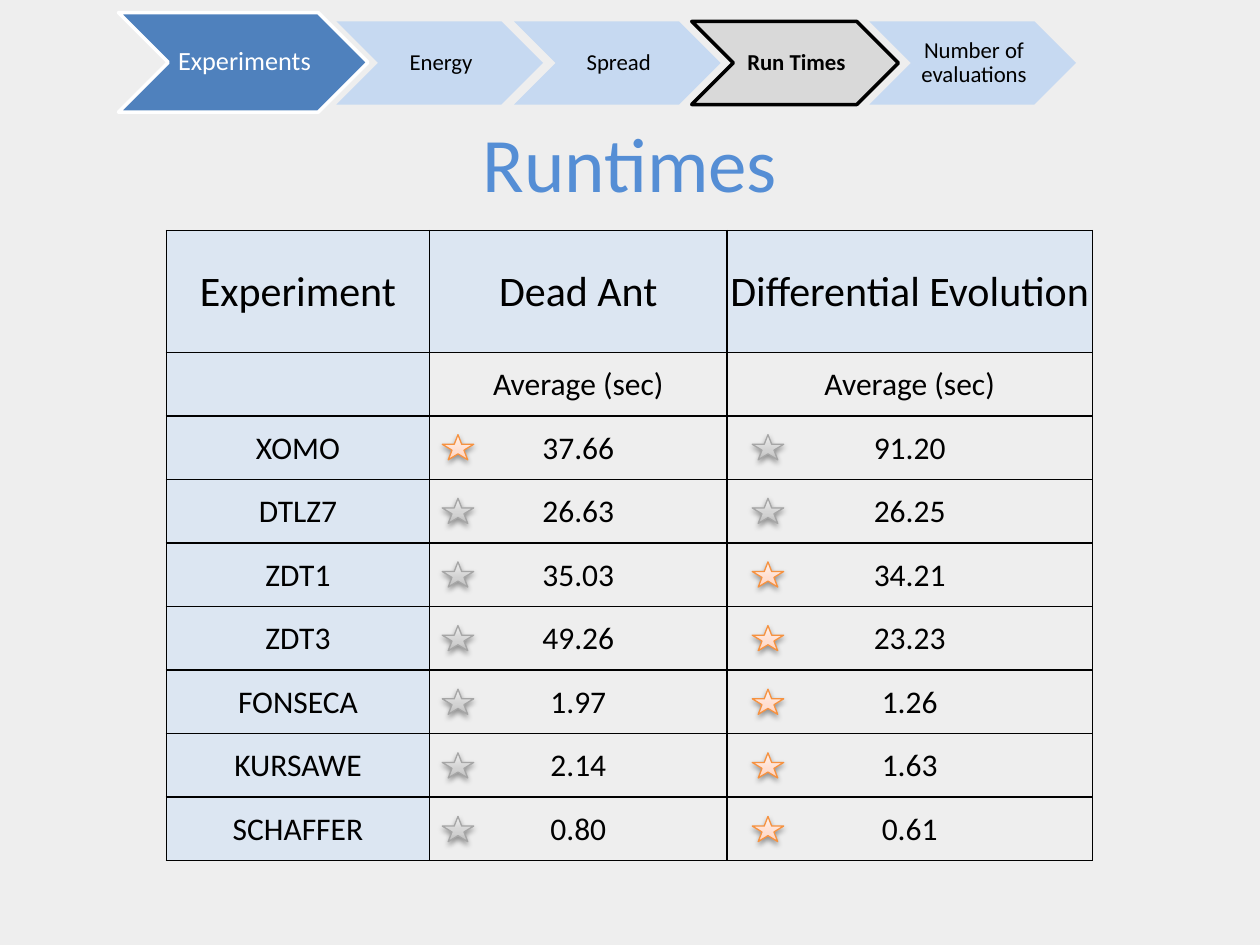
from copy import deepcopy
from pptx import Presentation
from pptx.dml.color import RGBColor
from pptx.enum.shapes import MSO_SHAPE
from pptx.enum.text import MSO_ANCHOR, PP_ALIGN
from pptx.oxml import parse_xml
from pptx.oxml.ns import nsdecls, qn
from pptx.util import Inches, Pt

WIDE, HIGH = 10, 7.5
LEFT, TOP, DEEP = 1.32, 1.83, 5
COLS = [2.09, 2.36, 2.9]
HEAD = 0.97
BLACK, TINT, BLUE = "000000", "DCE6F2", "C6D9F1"
GOLD = ("F69240", ["FFD2BD", "FFDED0", "FFF2ED"])
GREY = ("A6A6A6", ["BDBDBD", "D1D1D1", "EEEEEE"])

# Each data row ends with the columns that hold a gold star
DATA = [
    ("XOMO", "37.66", "91.20", [1]),
    ("DTLZ7", "26.63", "26.25", []),
    ("ZDT1", "35.03", "34.21", [2]),
    ("ZDT3", "49.26", "23.23", [2]),
    ("FONSECA", "1.97", "1.26", [2]),
    ("KURSAWE", "2.14", "1.63", [2]),
    ("SCHAFFER", "0.80", "0.61", [2]),
]


def paint(color, code):
    color.rgb = RGBColor.from_string(code)


def fill(item, code):
    item.fill.solid()
    paint(item.fill.fore_color, code)


def box(*sizes):
    return [Inches(size) for size in sizes]


def write(frame, text, size, code=BLACK, bold=False):
    """Set centred text in a frame."""
    frame.text = text
    for para in frame.paragraphs:
        para.alignment = PP_ALIGN.CENTER
        for run in para.runs:
            run.font.name = "Calibri"
            run.font.size = Pt(size)
            run.font.bold = bold
            paint(run.font.color, code)


def frame_cell(cell):
    """Draw thin black borders round a table cell."""
    props = cell._tc.get_or_add_tcPr()
    for side in "LRTB":
        props.append(parse_xml(
            f'<a:ln{side} {nsdecls("a")} w="{Pt(1)}"><a:solidFill>'
            f'<a:srgbClr val="{BLACK}"/></a:solidFill></a:ln{side}>'))


def add_grid(slide):
    rows = [("Experiment", "Dead Ant", "Differential Evolution"),
            ("", "Average (sec)", "Average (sec)")]
    rows += [row[:3] for row in DATA]
    place = box(LEFT, TOP, sum(COLS), DEEP)
    table = slide.shapes.add_table(len(rows), len(COLS), *place).table
    table.first_row = table.horz_banding = False
    for col, width in zip(table.columns, COLS):
        col.width = Inches(width)
    for i, row in enumerate(rows):
        table.rows[i].height = Inches(
            HEAD if i == 0 else (DEEP - HEAD) / (len(rows) - 1))
        for j, text in enumerate(row):
            cell = table.cell(i, j)
            cell.vertical_anchor = MSO_ANCHOR.MIDDLE
            cell.margin_left = cell.margin_right = cell.margin_top = Inches(0.01)
            cell.margin_bottom = 0
            write(cell.text_frame, text, 24 if i == 0 else 18)
            frame_cell(cell)
            if i == 0 or j == 0:
                fill(cell, TINT)
            else:
                cell.fill.background()


def add_star(slide, left, top, look):
    edge, shades = look
    star = slide.shapes.add_shape(
        MSO_SHAPE.STAR_5_POINT, *box(left, top, 0.25, 0.2))
    paint(star.line.color, edge)
    star.line.width = Pt(0.75)
    star.fill.gradient()
    star.fill.gradient_angle = 90
    props = star._element.spPr
    first = props.find(".//" + qn("a:gs"))
    first.addnext(deepcopy(first))
    for stop, spot, shade in zip(star.fill.gradient_stops, (0, 0.35, 1), shades):
        stop.position = spot
        paint(stop.color, shade)
    star.shadow.inherit = False
    props.find(qn("a:effectLst")).append(parse_xml(
        f'<a:outerShdw {nsdecls("a")} blurRad="{Pt(3.1)}" dist="{Pt(1.6)}" '
        f'dir="5400000" rotWithShape="0"><a:srgbClr val="{BLACK}">'
        f'<a:alpha val="38000"/></a:srgbClr></a:outerShdw>'))


def add_title(slide, text):
    frame = slide.shapes.add_textbox(
        *box(0.05 * WIDE, 0.66, 0.9 * WIDE, 1.25)).text_frame
    frame.word_wrap = True
    frame.vertical_anchor = MSO_ANCHOR.MIDDLE
    write(frame, text, 44, "558ED5")


def add_step(slide, text, place, back, size=13, code=BLACK, edge=None, bold=False):
    """Add one chevron of the top bar."""
    step = slide.shapes.add_shape(MSO_SHAPE.CHEVRON, *box(*place))
    step.shadow.inherit = False
    fill(step, back)
    if edge:
        paint(step.line.color, edge)
        step.line.width = Pt(2)
    else:
        step.line.fill.background()
    frame = step.text_frame
    frame.word_wrap = True
    frame.vertical_anchor = MSO_ANCHOR.MIDDLE
    frame.margin_left = Inches(0.02)
    frame.margin_right = 0
    frame.margin_top = frame.margin_bottom = Inches(0.01)
    write(frame, text, size, code, bold)
    frame.paragraphs[0].line_spacing = 0.9


def add_bar(slide, names, live):
    add_step(slide, "Experiments", (0.94, 0.1, 1.98, 0.79), "4F81BD",
             15, "FFFFFF", "FFFFFF")
    for i, name in enumerate(names):
        place = (2.67 + 1.41 * i, 0.17, 1.64, 0.66)
        if name == live:
            add_step(slide, name, place, "D9D9D9", edge=BLACK, bold=True)
        else:
            add_step(slide, name, place, BLUE)


def main():
    deck = Presentation()
    deck.slide_width, deck.slide_height = box(WIDE, HIGH)
    slide = deck.slides.add_slide(deck.slide_layouts[6])
    fill(slide.background, "EEEEEE")
    add_grid(slide)
    for i, row in enumerate(DATA):
        for col in (1, 2):
            left = LEFT + sum(COLS[:col]) + 0.1 * col
            add_star(slide, left, 3.45 + 0.505 * i,
                     GOLD if col in row[3] else GREY)
    add_title(slide, "Runtimes")
    add_bar(slide, ["Energy", "Spread", "Run Times", "Number of evaluations"],
            "Run Times")
    deck.save("out.pptx")


if __name__ == "__main__":
    main()
